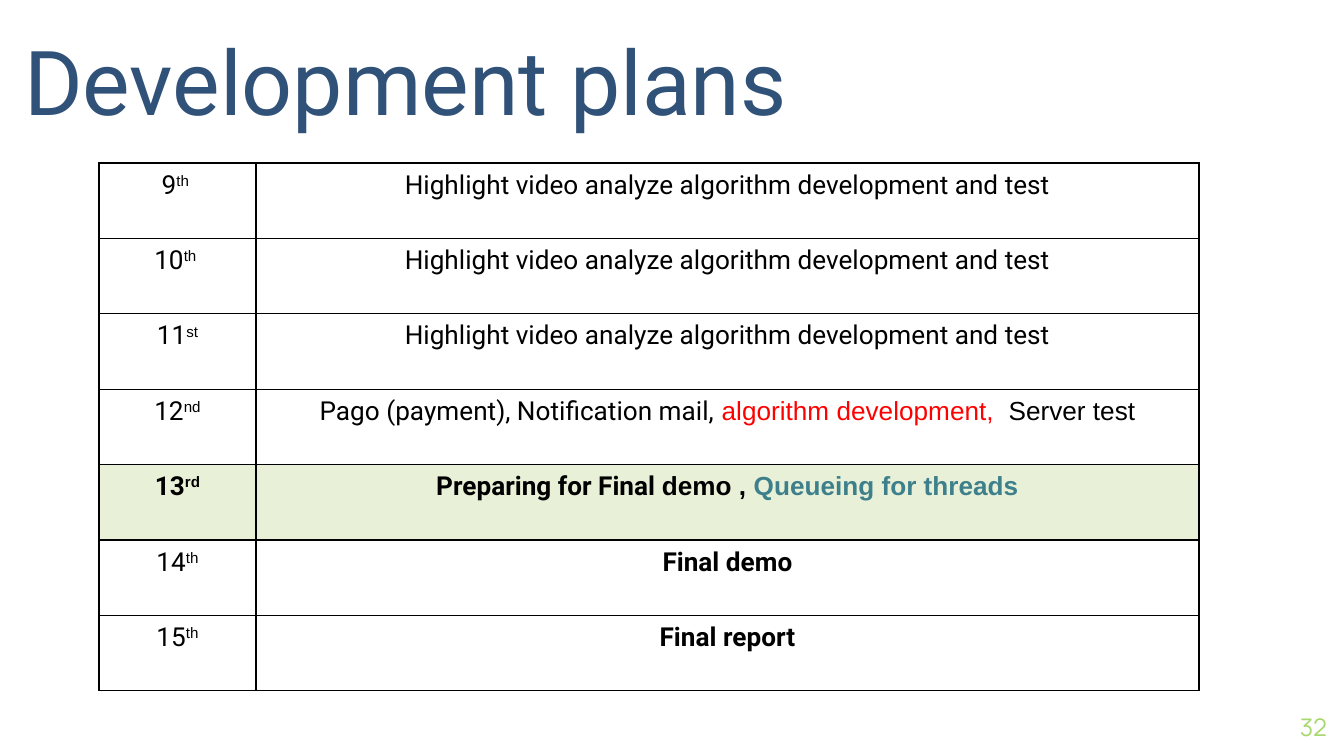
"""Build the slide that lists the development plans for weeks 9 to 15."""
import lxml.etree
import pptx
import pptx.dml.color
import pptx.enum.text
import pptx.oxml.ns
import pptx.util

EMU_PER_PX = 914400 / 134.4
COLORS = {
    "title": "305178",
    "number": "A7D86D",
    "text": "000000",
    "alert": "FF0000",
    "accent": "3D808C",
    "border": "000000",
    "plain": "FFFFFF",
    "current": "E8F0D8",
}
ALIGN = pptx.enum.text.PP_ALIGN
ANCHOR = pptx.enum.text.MSO_ANCHOR
HIGHLIGHT = [("Highlight video analyze algorithm development and test", "Roboto", "text")]
# Each week: number, ordinal ending, week is bold, plan is bold, fill, plan spans.
WEEKS = [
    ("9", "th ", False, False, "plain", HIGHLIGHT),
    ("10", "th ", False, False, "plain", HIGHLIGHT),
    ("11", "st", False, False, "plain", HIGHLIGHT),
    ("12", "nd", False, False, "plain", [
        ("Pago (payment), Notification mail,", "Roboto", "text"),
        (" algorithm development, ", "Arial", "alert"),
        (" Server test", "Arial", "text"),
    ]),
    ("13", "rd", True, True, "current", [
        ("Preparing for Final ", "Roboto", "text"),
        ("demo , ", "Arial", "text"),
        ("Queueing for threads", "Arial", "accent"),
    ]),
    ("14", "th", False, True, "plain", [("Final demo", "Roboto", "text")]),
    ("15", "th", False, True, "plain", [("Final report", "Roboto", "text")]),
]


def px(length):
    """Turn whole pixels into EMU."""
    return pptx.util.Emu(round(length * EMU_PER_PX))


def rgb(name):
    """Look up a named colour."""
    return pptx.dml.color.RGBColor.from_string(COLORS[name])


def add_span(para, text, font, size, color, bold=False):
    """Add one formatted run to a paragraph."""
    span = para.add_run()
    span.text = text
    span.font.name = font
    span.font.size = pptx.util.Pt(size)
    span.font.bold = bold
    span.font.color.rgb = rgb(color)
    return span


def fill_box(box, place, anchor, align, text, font, size, color):
    """Place a text shape without insets and write one line in it."""
    box.left, box.top, box.width, box.height = map(px, place)
    frame = box.text_frame
    frame.word_wrap = True
    frame.auto_size = pptx.enum.text.MSO_AUTO_SIZE.NONE
    frame.vertical_anchor = anchor
    frame.margin_left = frame.margin_top = frame.margin_right = frame.margin_bottom = 0
    para = frame.paragraphs[0]
    para.alignment = align
    add_span(para, text, font, size, color)


def add_borders(cell):
    """Draw a thin line on all four sides of a cell."""
    properties = cell._tc.get_or_add_tcPr()
    qn = pptx.oxml.ns.qn
    for side in ("lnL", "lnR", "lnT", "lnB"):
        line = lxml.etree.SubElement(properties, qn(f"a:{side}"), w=str(pptx.util.Pt(0.75)))
        solid = lxml.etree.SubElement(line, qn("a:solidFill"))
        lxml.etree.SubElement(solid, qn("a:srgbClr"), val=COLORS["border"])


def format_cell(cell, fill):
    """Give a cell its borders and fill and return its centred paragraph."""
    add_borders(cell)
    cell.fill.solid()
    cell.fill.fore_color.rgb = rgb(fill)
    para = cell.text_frame.paragraphs[0]
    para.alignment = ALIGN.CENTER
    return para


def add_schedule(page, left, top, widths, height):
    """Add the table of weeks and plans."""
    frame = page.shapes.add_table(
        len(WEEKS), len(widths), px(left), px(top), px(sum(widths)), px(height))
    table = frame.table
    table.first_row = table.horz_banding = False
    for column, width in zip(table.columns, widths):
        column.width = px(width)
    for index, (number, ending, week_bold, plan_bold, fill, plan) in enumerate(WEEKS):
        week_para = format_cell(table.cell(index, 0), fill)
        add_span(week_para, number, "Roboto", 14, "text", week_bold)
        ordinal = add_span(week_para, ending, "Arial", 14, "text", week_bold)
        ordinal._r.get_or_add_rPr().set("baseline", "30000")
        plan_para = format_cell(table.cell(index, 1), fill)
        for text, font, color in plan:
            add_span(plan_para, text, font, 14, color, plan_bold)


def main():
    """Build and save the deck."""
    deck = pptx.Presentation()
    deck.slide_width, deck.slide_height = px(1344), px(756)
    page = deck.slides.add_slide(deck.slide_layouts[5])
    fill_box(page.shapes.title, (24, 8, 926, 126), ANCHOR.BOTTOM, ALIGN.LEFT,
             "Development plans", "Roboto", 48, "title")
    add_schedule(page, 99, 163, (157, 943), 528)
    number_box = page.shapes.add_textbox(0, 0, 0, 0)
    fill_box(number_box, (1246, 698, 81, 58), ANCHOR.MIDDLE, ALIGN.RIGHT,
             "32", "Manrope", 13, "number")
    deck.save("out.pptx")


if __name__ == "__main__":
    main()
